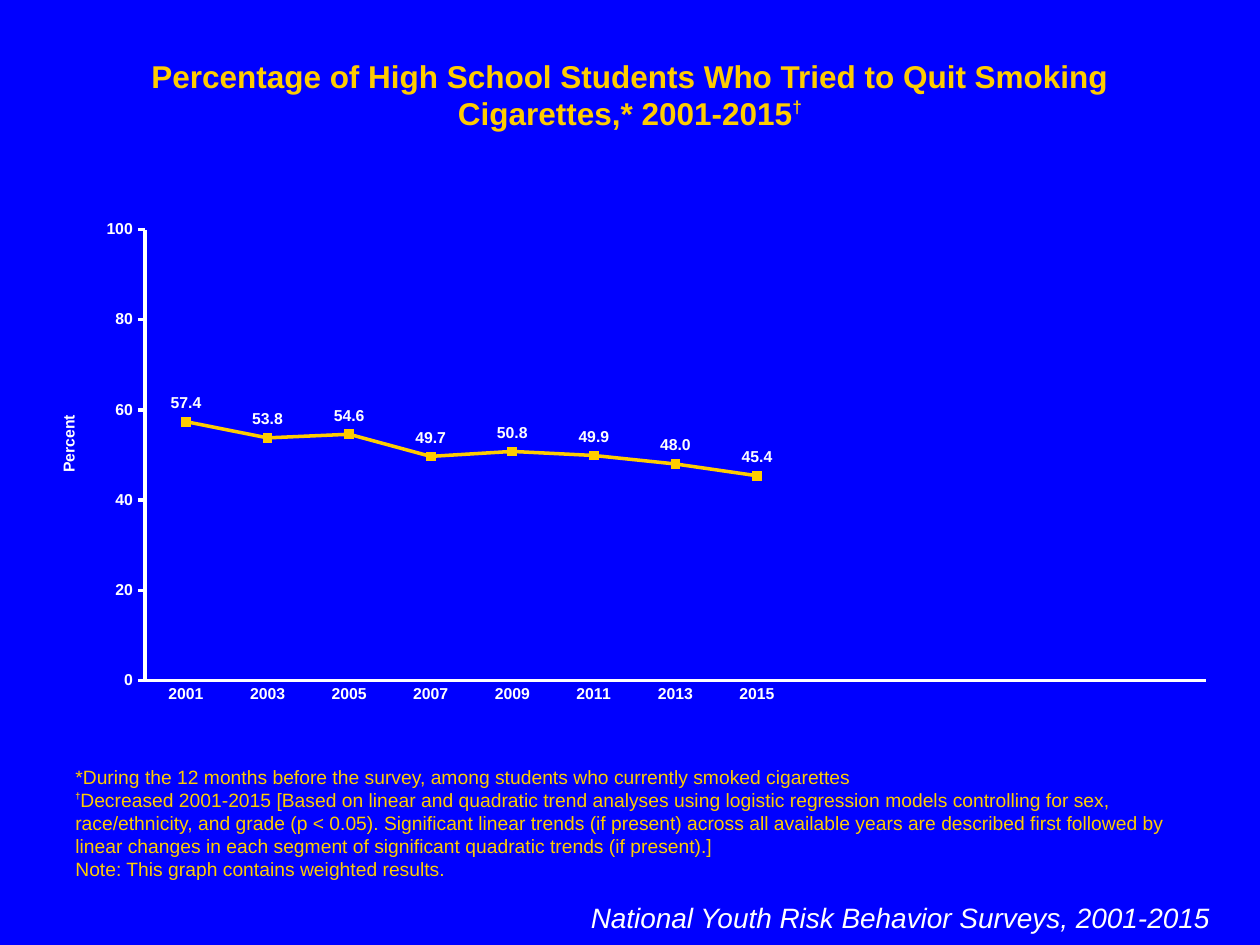
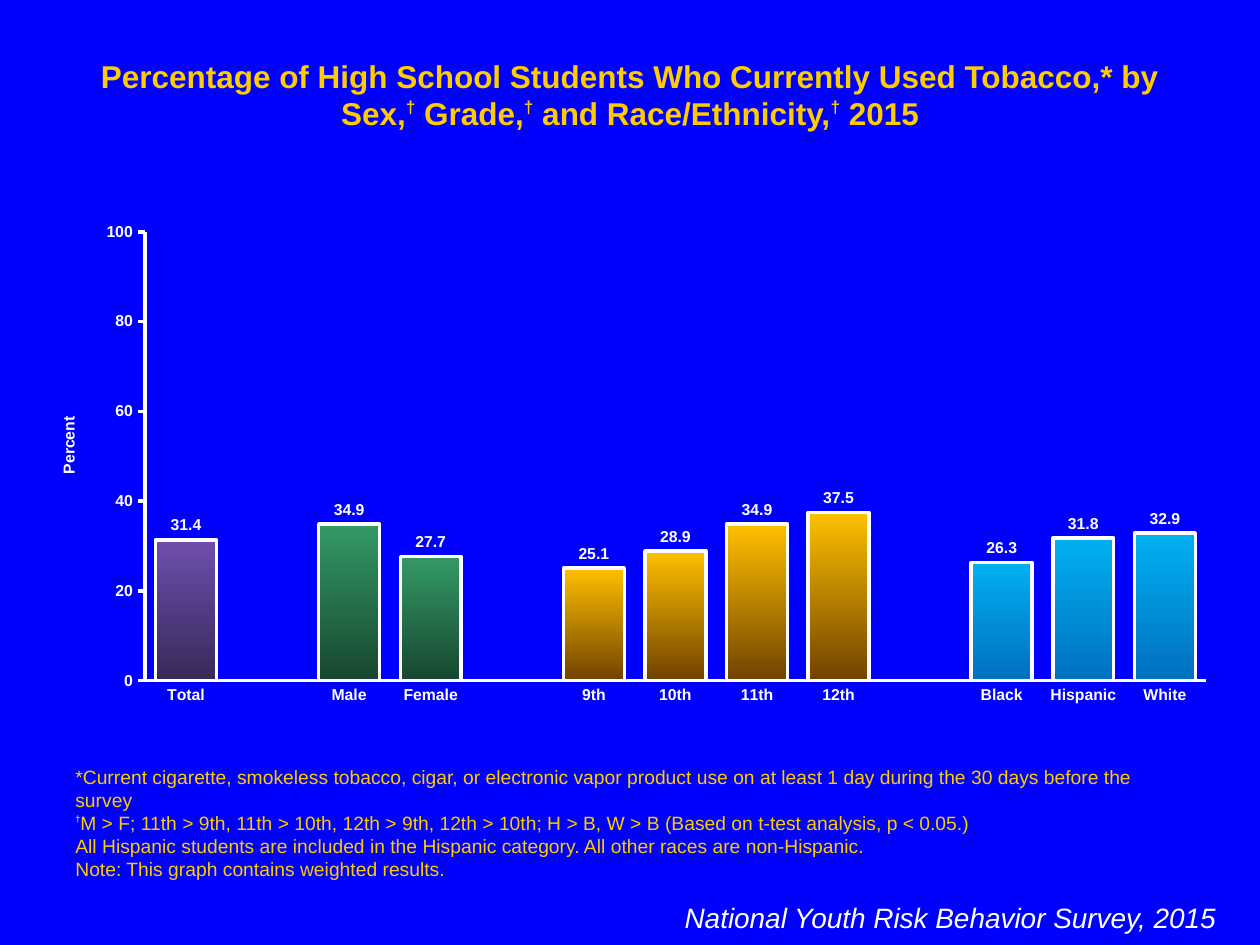
"""Build two slides on tobacco use among high school students."""
import pptx
import pptx.chart.data
import pptx.dml.color
import pptx.enum.chart
import pptx.enum.text
import pptx.oxml
import pptx.oxml.ns
import pptx.util

RGBColor = pptx.dml.color.RGBColor
Inches = pptx.util.Inches
Pt = pptx.util.Pt
qn = pptx.oxml.ns.qn
XL = pptx.enum.chart
PP_ALIGN = pptx.enum.text.PP_ALIGN
MSO_ANCHOR = pptx.enum.text.MSO_ANCHOR

BLUE = RGBColor(0x00, 0x00, 0xFF)
GOLD = RGBColor(0xFF, 0xCC, 0x00)
WHITE = RGBColor(0xFF, 0xFF, 0xFF)
PURPLE = (RGBColor(0x6E, 0x4E, 0xAE), RGBColor(0x38, 0x29, 0x58))
GREEN = (RGBColor(0x33, 0x99, 0x66), RGBColor(0x18, 0x47, 0x2F))
AMBER = (RGBColor(0xFF, 0xC0, 0x00), RGBColor(0x70, 0x42, 0x00))
SKY = (RGBColor(0x00, 0xB0, 0xF0), RGBColor(0x00, 0x70, 0xC0))
FONT = "Arial"
DAGGER = "†"

YEARS = [str(year) for year in range(2001, 2016, 2)] + [""] * 5
QUIT_RATES = [57.4, 53.8, 54.6, 49.7, 50.8, 49.9, 48.0, 45.4] + [None] * 5
USE_GROUPS = [
    (PURPLE, [("Total", 31.4)]),
    (GREEN, [("Male", 34.9), ("Female", 27.7)]),
    (AMBER, [("9th", 25.1), ("10th", 28.9), ("11th", 34.9), ("12th", 37.5)]),
    (SKY, [("Black", 26.3), ("Hispanic", 31.8), ("White", 32.9)]),
]


def set_font(font, size, color, bold=False, italic=False):
    """Apply the deck typeface with the given size, colour and style."""
    font.name, font.size = FONT, Pt(size)
    font.bold, font.italic = bold, italic
    font.color.rgb = color


def add_runs(p, text, dagger_size, dagger_raise):
    """Fill a paragraph, raising every dagger as a superscript."""
    for i, part in enumerate(text.split(DAGGER)):
        if i:
            r = p.add_run()
            r.text = DAGGER
            r.font.size, r.font.bold = Pt(dagger_size), True
            r.font._element.set("baseline", str(dagger_raise * 1000))
        if part:
            p.add_run().text = part


def add_text(slide, box, lines, size, color, align=PP_ALIGN.LEFT,
             anchor=MSO_ANCHOR.TOP, bold=False, italic=False, dagger=(9, 50)):
    """Add a wrapped text box with one paragraph per line."""
    tf = slide.shapes.add_textbox(*map(Inches, box)).text_frame
    tf.word_wrap = True
    tf.vertical_anchor = anchor
    for i, line in enumerate(lines):
        p = tf.add_paragraph() if i else tf.paragraphs[0]
        p.alignment = align
        set_font(p.font, size, color, bold, italic)
        add_runs(p, line, *dagger)


def add_frame(prs, title, notes, source, source_box):
    """Add a slide with its title, footnotes and source line."""
    slide = prs.slides.add_slide(prs.slide_layouts[6])
    add_text(slide, (0.5, 0.4, 9, 0.71), [title], 18, GOLD,
             PP_ALIGN.CENTER, bold=True, dagger=(17, 40))
    add_text(slide, (0.5, 6.01, 9, 1.03), notes, 11, GOLD,
             anchor=MSO_ANCHOR.BOTTOM)
    add_text(slide, source_box, [source], 16, WHITE, PP_ALIGN.RIGHT,
             italic=True)
    return slide


def set_layout(parent, index, **fractions):
    """Place a chart part by fractions of the chart area."""
    for old in parent.findall(qn("c:layout")):
        parent.remove(old)
    inner = '<c:layoutTarget val="inner"/>' if "w" in fractions else ""
    modes = "".join(f'<c:{k}Mode val="edge"/>' for k in "xy")
    values = "".join(f'<c:{k} val="{v}"/>' for k, v in fractions.items())
    parent.insert(index, pptx.oxml.parse_xml(
        f'<c:layout {pptx.oxml.ns.nsdecls("c")}><c:manualLayout>'
        f'{inner}{modes}{values}</c:manualLayout></c:layout>'))


def style_axis(axis, tick):
    """Give an axis its white line, tick marks and bold labels."""
    axis.has_major_gridlines = False
    axis.major_tick_mark = tick
    axis.minor_tick_mark = XL.XL_TICK_MARK.NONE
    axis.format.line.color.rgb = WHITE
    axis.format.line.width = Pt(2)
    set_font(axis.tick_labels.font, 9, WHITE, bold=True)


def add_percent_chart(slide, kind, box, categories, values, label_position):
    """Add a one-series chart on a 0 to 100 percent scale."""
    data = pptx.chart.data.CategoryChartData()
    data.categories = categories
    data.add_series("Series 1", values)
    chart = slide.shapes.add_chart(kind, *map(Inches, box), data).chart
    chart.has_title = chart.has_legend = False
    set_font(chart.font, 18, WHITE)
    style_axis(chart.category_axis, XL.XL_TICK_MARK.NONE)
    axis = chart.value_axis
    style_axis(axis, XL.XL_TICK_MARK.OUTSIDE)
    axis.minimum_scale, axis.maximum_scale, axis.major_unit = 0, 100, 20
    axis.tick_labels.number_format = "#,##0"
    axis.tick_labels.number_format_is_linked = False
    tf = axis.axis_title.text_frame
    tf.text = "Percent"
    set_font(tf.paragraphs[0].font, 9, WHITE, bold=True)
    tf._txBody.bodyPr.set("rot", "-5400000")
    tf._txBody.bodyPr.set("vert", "horz")
    set_layout(axis.axis_title.element, 1, x=0.02, y=0.4)
    plot_area = chart.element.find(".//" + qn("c:plotArea"))
    set_layout(plot_area, 0, x=0.095, y=0.038, w=0.886, h=0.895)
    plot = chart.plots[0]
    plot.vary_by_categories = False
    plot.has_data_labels = True
    labels = plot.data_labels
    labels.show_value = True
    labels.position = label_position
    labels.number_format = "#,##0.0"
    labels.number_format_is_linked = False
    set_font(labels.font, 9, WHITE, bold=True)
    return plot


def add_quit_trend(slide):
    """Draw the line of quit attempts by year."""
    plot = add_percent_chart(
        slide, XL.XL_CHART_TYPE.LINE_MARKERS, (0.25, 1.67, 9.5, 4),
        YEARS, QUIT_RATES, XL.XL_LABEL_POSITION.ABOVE)
    series = plot.series[0]
    series.smooth = False
    series.format.line.color.rgb = GOLD
    series.format.line.width = Pt(2)
    marker = series.marker
    marker.style, marker.size = XL.XL_MARKER_STYLE.SQUARE, 5
    marker.format.fill.solid()
    marker.format.fill.fore_color.rgb = GOLD
    marker.format.line.color.rgb = GOLD


def add_use_columns(slide):
    """Draw the columns of tobacco use, a gap between the groups."""
    bars = []
    for colors, members in USE_GROUPS:
        if bars:
            bars.append(("", None, None))
        bars += [(name, value, colors) for name, value in members]
    names, values, fills = zip(*bars)
    plot = add_percent_chart(
        slide, XL.XL_CHART_TYPE.COLUMN_CLUSTERED, (0.25, 1.69, 9.5, 3.98),
        names, values, XL.XL_LABEL_POSITION.OUTSIDE_END)
    plot.gap_width, plot.overlap = 34, 100
    for i, colors in enumerate(fills):
        if colors is None:
            continue
        fmt = plot.series[0].points[i].format
        fmt.fill.gradient()
        fmt.fill.gradient_angle = 270
        for stop, color in zip(fmt.fill.gradient_stops, colors):
            stop.color.rgb = color
        for stop, position in zip(fmt.fill.gradient_stops, (0, 1)):
            stop.position = position
        fmt.line.color.rgb = WHITE
        fmt.line.width = Pt(2)


def main():
    """Build and save the deck."""
    prs = pptx.Presentation()
    prs.slide_width, prs.slide_height = Inches(10), Inches(7.5)
    background = prs.slide_master.background.fill
    background.solid()
    background.fore_color.rgb = BLUE

    add_quit_trend(add_frame(
        prs,
        "Percentage of High School Students Who Tried to Quit Smoking "
        "Cigarettes,* 2001-2015†",
        ["*During the 12 months before the survey, among students who "
         "currently smoked cigarettes",
         "†Decreased 2001-2015 [Based on linear and quadratic trend analyses "
         "using logistic regression models controlling for sex, "
         "race/ethnicity, and grade (p < 0.05). Significant linear trends "
         "(if present) across all available years are described first "
         "followed by linear changes in each segment of significant "
         "quadratic trends (if present).]",
         "Note: This graph contains weighted results."],
        "National Youth Risk Behavior Surveys, 2001-2015",
        (4.53, 7.1, 5.17, 0.37)))

    add_use_columns(add_frame(
        prs,
        "Percentage of High School Students Who Currently Used Tobacco,* by "
        "Sex,† Grade,† and Race/Ethnicity,† 2015",
        ["*Current cigarette, smokeless tobacco, cigar, or electronic vapor "
         "product use on at least 1 day during the 30 days before the survey",
         "†M > F; 11th > 9th, 11th > 10th, 12th > 9th, 12th > 10th; H > B, "
         "W > B (Based on t-test analysis, p < 0.05.)",
         "All Hispanic students are included in the Hispanic category. "
         "All other races are non-Hispanic.",
         "Note: This graph contains weighted results."],
        "National Youth Risk Behavior Survey, 2015",
        (4.25, 7.1, 5.5, 0.37)))

    prs.save("out.pptx")


if __name__ == "__main__":
    main()
